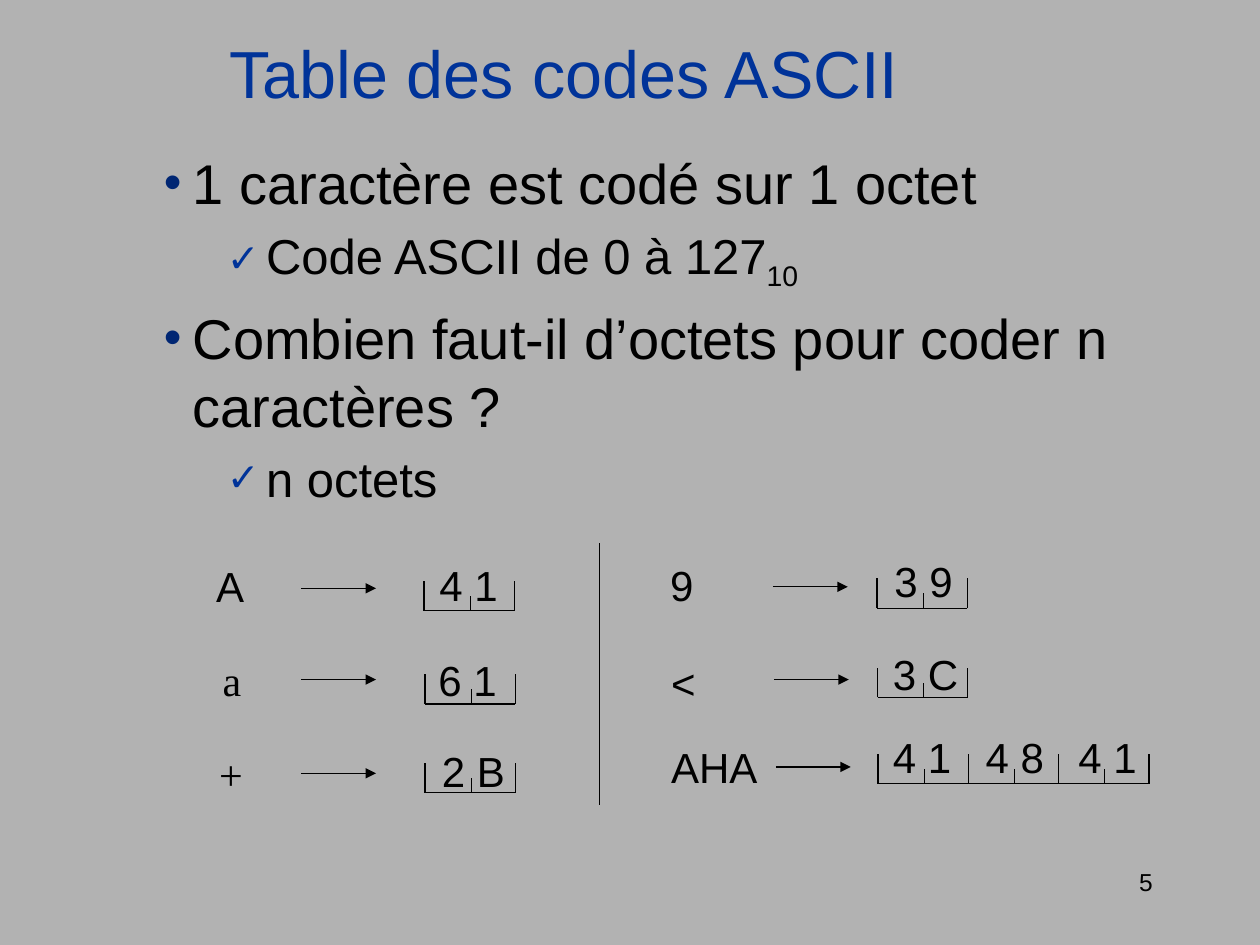
import pptx
import pptx.util
import pptx.dml.color
import pptx.enum.shapes
import pptx.enum.text
import pptx.oxml
import pptx.oxml.ns
from lxml import etree

Cm, Pt = pptx.util.Cm, pptx.util.Pt
RGBColor = pptx.dml.color.RGBColor
PP_ALIGN = pptx.enum.text.PP_ALIGN
MSO_ANCHOR = pptx.enum.text.MSO_ANCHOR
MSO_AUTO_SIZE = pptx.enum.text.MSO_AUTO_SIZE
qn = pptx.oxml.ns.qn

GREY = RGBColor(0xB2, 0xB2, 0xB2)
BLUE = RGBColor(0x00, 0x33, 0x99)
NAVY = RGBColor(0x00, 0x26, 0x73)
BLACK = RGBColor(0, 0, 0)
SANS, SERIF = "Arial", "Times New Roman"

TITLE = "Table des codes ASCII"
# level, text, subscript
BULLETS = [
    (0, "1 caractère est codé sur 1 octet", ""),
    (1, "Code ASCII de 0 à 127", "10"),
    (0, "Combien faut-il d’octets pour coder n caractères ?", ""),
    (1, "n octets", ""),
]
# per level: size, left margin, indent, bullet, bullet colour, bullet percent
LEVELS = [
    (32, 0.58, -0.58, "•", NAVY, 90),
    (28, 2.06, -0.79, "✓", BLUE, 80),
]
# characters, font, (left, top, width) of characters, arrow start,
# bytes, (left, top, width) of bytes, lower left corner of the tray
ENCODINGS = [
    ("A", SANS, (4.11, 11.18, 1.27), (6.07, 11.86), ["4 1"], (8.61, 11.15, 2.97), (8.55, 12.31)),
    ("a", SERIF, (4.24, 13.06, 0.94), (6.07, 13.7), ["6 1"], (8.59, 13.06, 1.7), (8.57, 14.19)),
    ("+", SERIF, (4.17, 14.96, 1.07), (6.07, 15.59), ["2 B"], (8.66, 14.91, 1.8), (8.57, 15.98)),
    ("9", SANS, (13.26, 11.15, 0.99), (15.58, 11.83), ["3 9"], (17.78, 11.07, 1.7), (17.68, 12.26)),
    ("<", SANS, (13.28, 13.13, 1.47), (15.6, 13.7), ["3 C"], (17.75, 12.95, 1.85), (17.69, 14.06)),
    ("AHA", SANS, (13.28, 14.83, 2.74), (15.64, 15.46), ["4 1", "4 8", "4 1"],
     (17.75, 14.63, 6.27), (17.7, 15.8)),
]
ARROW = 1.51
CELL, NIBBLE = 1.82, 0.93
WALL, TICK = 0.6, 0.3
TAB = 1.87


def style(font, size, color=BLACK, name=SANS):
    font.name, font.size, font.color.rgb = name, Pt(size), color


def place(sp, left, top, width, height):
    sp.left, sp.top, sp.width, sp.height = Cm(left), Cm(top), Cm(width), Cm(height)


def add_child(parent, tag, **attributes):
    return etree.SubElement(parent, qn(tag), attributes)


def set_bullet(p, margin, indent, char, color, percent):
    pPr = p._p.get_or_add_pPr()
    pPr.set("marL", str(Cm(margin)))
    pPr.set("indent", str(Cm(indent)))
    add_child(add_child(pPr, "a:buClr"), "a:srgbClr", val=str(color))
    add_child(pPr, "a:buSzPct", val=str(percent * 1000))
    add_child(pPr, "a:buFont", typeface=SANS)
    add_child(pPr, "a:buChar", char=char)


def add_text(s, text, left, top, width, size=24, font=SANS, align=PP_ALIGN.LEFT):
    height = 1.45 if font == SERIF else 1.27
    sp = s.shapes.add_textbox(Cm(left), Cm(top), Cm(width), Cm(height))
    tf = sp.text_frame
    tf.word_wrap = False
    p = tf.paragraphs[0]
    p.text = text
    p.alignment = align
    if "\t" in text:
        tabs = add_child(p._p.get_or_add_pPr(), "a:tabLst")
        for i in range(text.count("\t")):
            add_child(tabs, "a:tab", pos=str(Cm(TAB * (i + 1))), algn="l")
    style(p.font, size, name=font)


def add_line(shapes, x1, y1, x2, y2, arrow=False):
    line = shapes.add_connector(pptx.enum.shapes.MSO_CONNECTOR.STRAIGHT,
                                Cm(x1), Cm(y1), Cm(x2), Cm(y2))
    line.line.color.rgb = BLACK
    line.line.width = Pt(0.75)
    if arrow:
        add_child(line.line._get_or_add_ln(), "a:tailEnd", type="triangle")
    add_child(line._element.spPr, "a:effectLst")


def add_tray(s, left, base, count):
    """Open boxes for count bytes, each with a tick between its two digits."""
    shapes = s.shapes.add_group_shape().shapes
    for i in range(count):
        x = left + i * CELL
        add_line(shapes, x, base, x + CELL, base)
        add_line(shapes, x, base, x, base - WALL)
        add_line(shapes, x + NIBBLE, base, x + NIBBLE, base - TICK)
    right = left + count * CELL
    add_line(shapes, right, base, right, base - WALL)


def main():
    prs = pptx.Presentation()
    prs.slide_width, prs.slide_height = Cm(25.4), Cm(19.05)
    s = prs.slides.add_slide(prs.slide_layouts[1])
    s.background.fill.solid()
    s.background.fill.fore_color.rgb = GREY

    title, body = s.placeholders
    place(title, 4.37, 0.2, 21.03, 2.49)
    tf = title.text_frame
    tf.text = TITLE
    tf.auto_size = MSO_AUTO_SIZE.NONE
    tf.vertical_anchor = MSO_ANCHOR.MIDDLE
    tf.paragraphs[0].alignment = PP_ALIGN.LEFT
    style(tf.paragraphs[0].font, 38, BLUE)

    place(body, 3.05, 2.87, 22.35, 13.39)
    tf = body.text_frame
    tf.auto_size = MSO_AUTO_SIZE.NONE
    for i, (level, text, subscript) in enumerate(BULLETS):
        p = tf.add_paragraph() if i else tf.paragraphs[0]
        p.level = level
        size, *bullet = LEVELS[level]
        set_bullet(p, *bullet)
        p.space_before = Pt(size * 0.2)
        style(p.font, size)
        p.add_run().text = text
        if subscript:
            r = p.add_run()
            r.text = subscript
            r._r.get_or_add_rPr().set("baseline", "-25000")

    for chars, font, chars_at, arrow, codes, codes_at, tray in ENCODINGS:
        add_text(s, chars, *chars_at, font=font)
        add_line(s.shapes, *arrow, arrow[0] + ARROW, arrow[1], arrow=True)
        add_text(s, "\t".join(codes), *codes_at)
        add_tray(s, *tray, len(codes))
    add_line(s.shapes, 12.09, 10.95, 12.09, 16.23)

    add_text(s, "5", 18.21, 17.35, 5.28, size=14, align=PP_ALIGN.RIGHT)
    prs.save("out.pptx")


if __name__ == "__main__":
    main()
